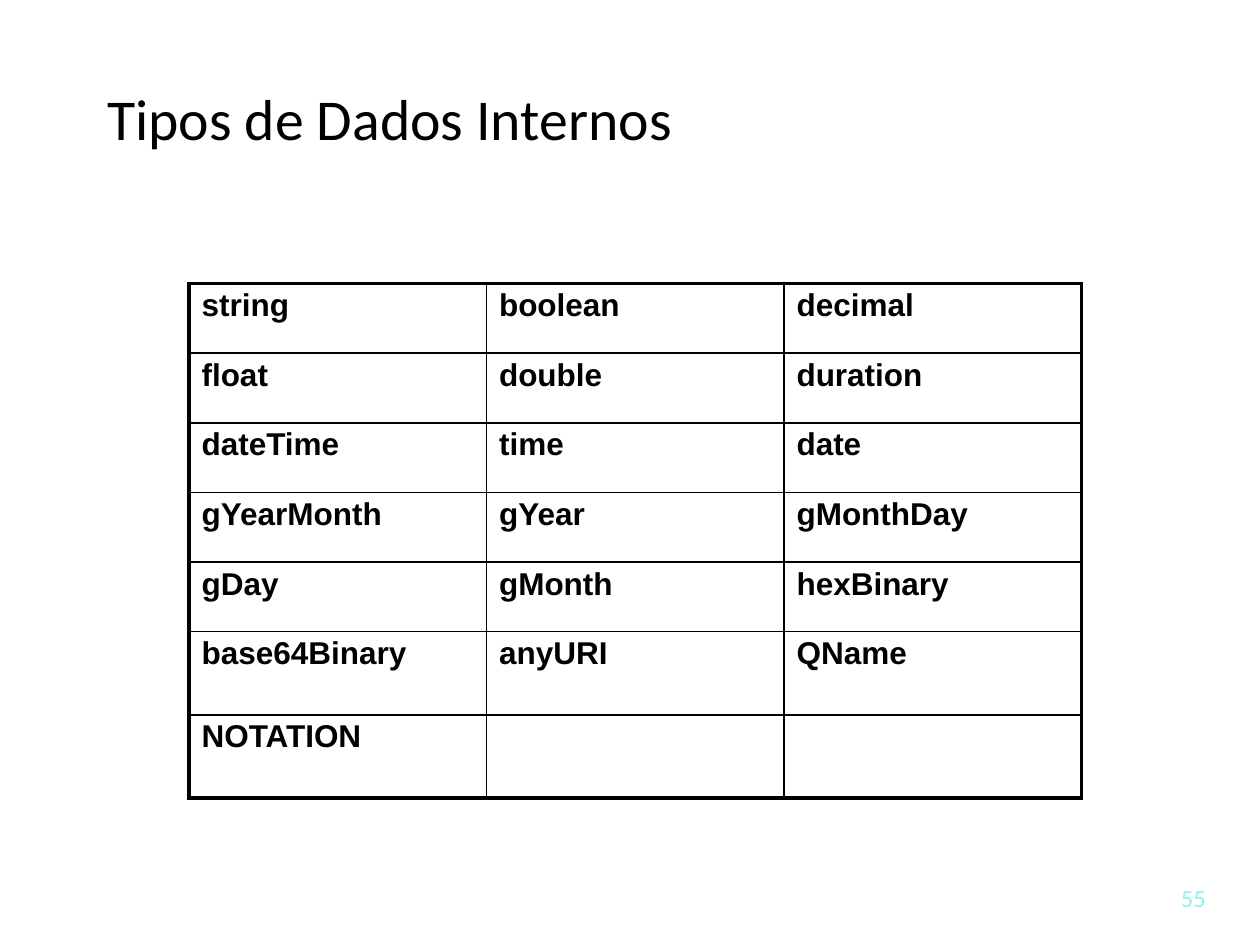
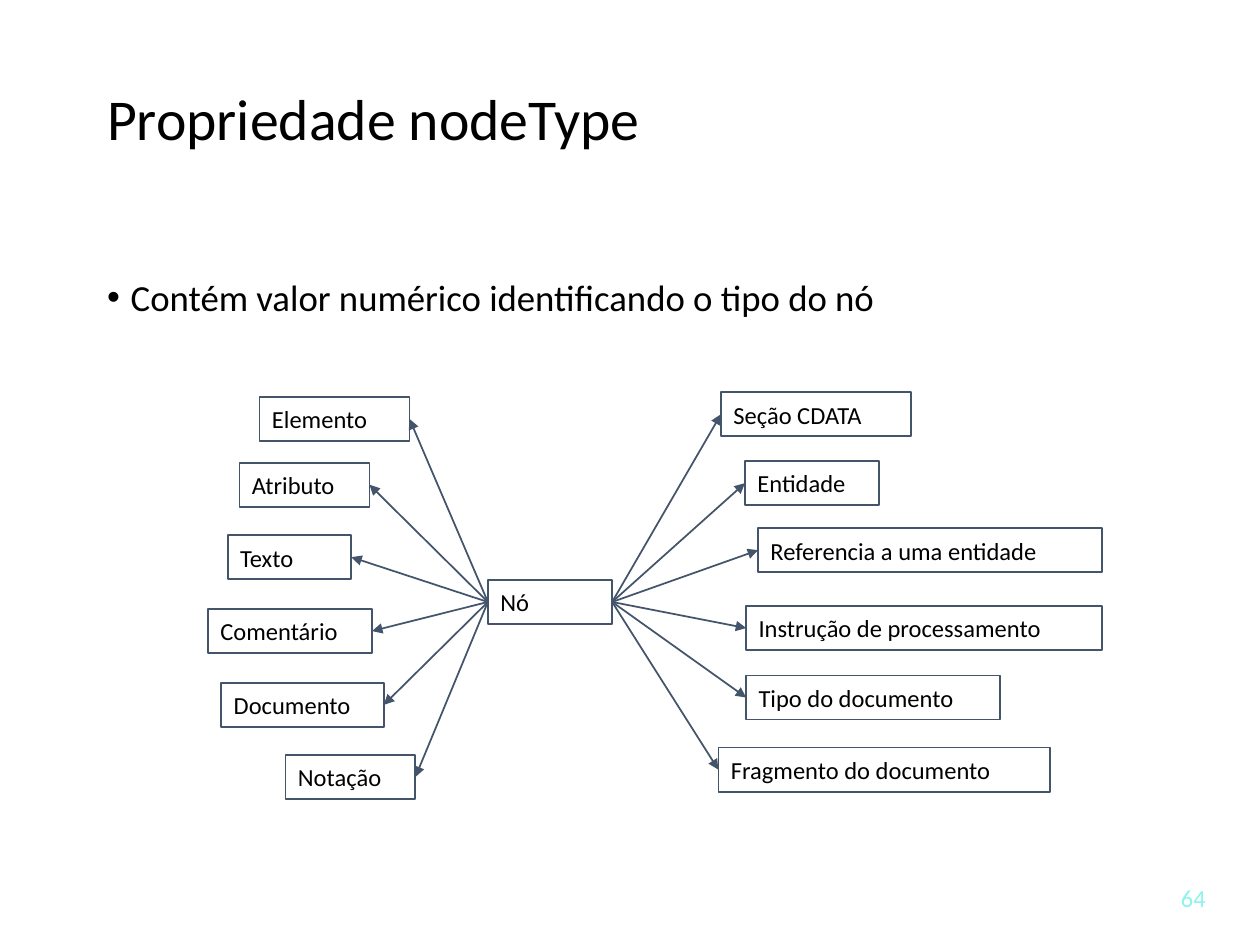
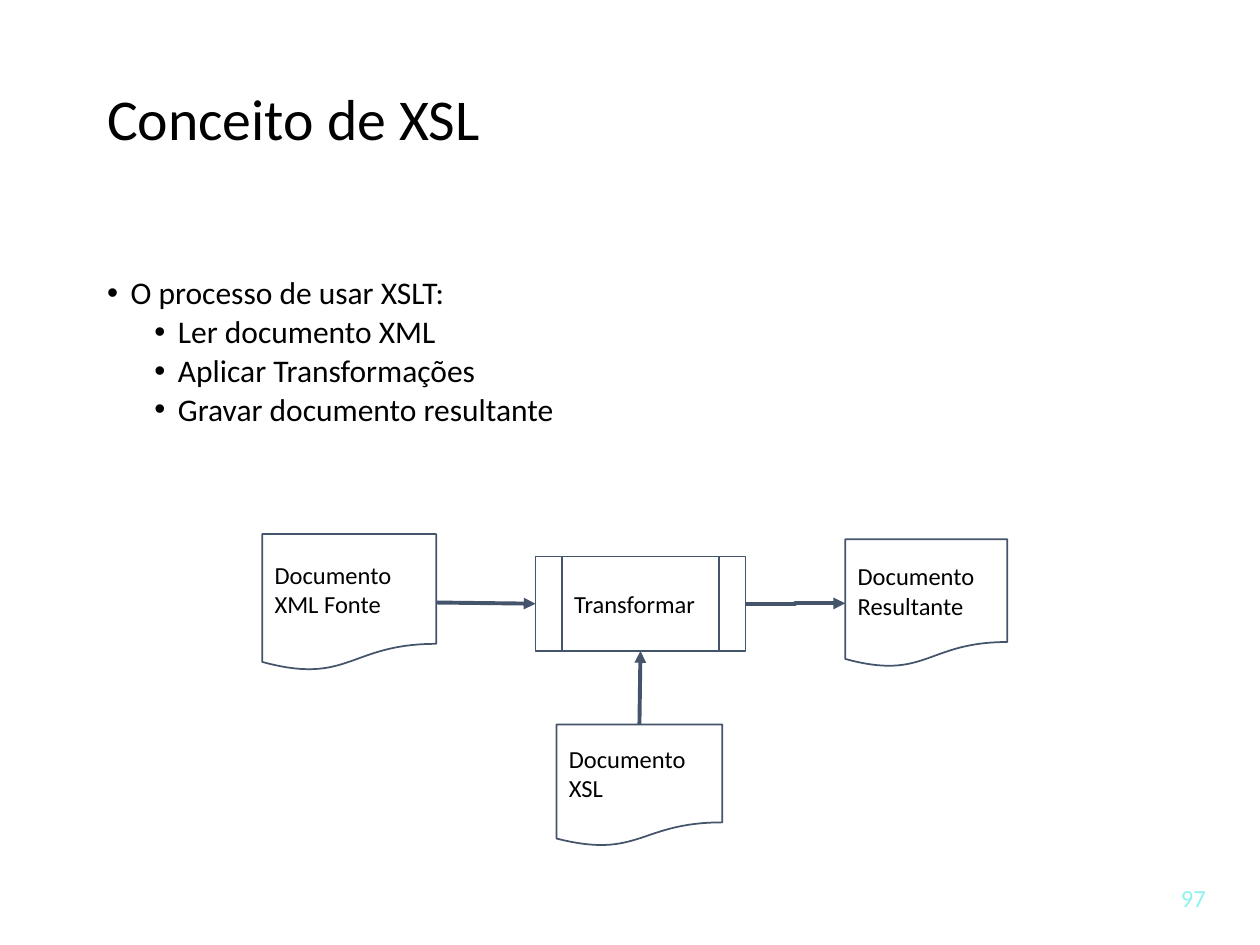
import pptx
import pptx.util
import pptx.dml.color
import pptx.enum.shapes
import pptx.enum.text
import pptx.oxml.ns
import lxml.etree

Pt = pptx.util.Pt
RGB = pptx.dml.color.RGBColor
Shape = pptx.enum.shapes.MSO_SHAPE
Link = pptx.enum.shapes.MSO_CONNECTOR
Align = pptx.enum.text.PP_ALIGN
Anchor = pptx.enum.text.MSO_ANCHOR
Fit = pptx.enum.text.MSO_AUTO_SIZE
qn = pptx.oxml.ns.qn

BLACK = RGB(0x00, 0x00, 0x00)
SLATE = RGB(0x44, 0x54, 0x6A)
AQUA = RGB(0x8C, 0xF4, 0xEA)
FONT = "Calibri"
TOP, LEFT, BOTTOM, RIGHT = range(4)

TYPES = [
    ("string", "boolean", "decimal"),
    ("float", "double", "duration"),
    ("dateTime", "time", "date"),
    ("gYearMonth", "gYear", "gMonthDay"),
    ("gDay", "gMonth", "hexBinary"),
    ("base64Binary", "anyURI", "QName"),
    ("NOTATION", "", ""),
]
ROWS = [39.8] * 5 + [47.5] * 2
COL = 170

NODE = ("Nó", 278.8, 331.4, 71)
LEAVES = {
    LEFT: [
        ("Elemento", 148.3, 226.8, 85.7),
        ("Atributo", 136.8, 264.4, 74.3),
        ("Texto", 130.1, 305.8, 70.7),
        ("Comentário", 118.8, 348, 93.8),
        ("Documento", 126.5, 390.2, 92.8),
        ("Notação", 163.2, 431.4, 74.2),
    ],
    RIGHT: [
        ("Seção CDATA", 412, 224.1, 108.7),
        ("Entidade", 425.7, 263.5, 76.5),
        ("Referencia a uma entidade", 433.2, 301.8, 196.6),
        ("Instrução de processamento", 426.4, 346.3, 203.4),
        ("Tipo do documento", 426.4, 386, 145.2),
        ("Fragmento do documento", 410.5, 427.2, 189.5),
    ],
}
HIGH = 25.2

STEPS = {
    "run": ("Transformar", Shape.FLOWCHART_PREDEFINED_PROCESS, 306, 318, 120, 54),
    "xml": ("Documento XML Fonte", Shape.FLOWCHART_DOCUMENT, 149.8, 305.2, 99.4, 78.2),
    "out": ("Documento Resultante", Shape.FLOWCHART_DOCUMENT, 483, 308.2, 92.6, 73.2),
    "xsl": ("Documento XSL", Shape.FLOWCHART_DOCUMENT, 318, 414, 94.8, 69.8),
}
FLOWS = [
    ("xml", RIGHT, "run", LEFT, Link.STRAIGHT),
    ("run", RIGHT, "out", LEFT, Link.ELBOW),
    ("xsl", TOP, "run", BOTTOM, Link.STRAIGHT),
]


def style(para, size, color=BLACK, font=FONT, bold=False):
    for run in para.runs:
        run.font.name = font
        run.font.size = Pt(size)
        run.font.color.rgb = color
        run.font.bold = bold


def place(shape, left, top, width, height):
    shape.left, shape.top = Pt(left), Pt(top)
    shape.width, shape.height = Pt(width), Pt(height)
    shape.text_frame.auto_size = Fit.NONE
    shape.text_frame.vertical_anchor = Anchor.TOP


def start(deck, layout, title, number):
    slide = deck.slides.add_slide(deck.slide_layouts[layout])
    head = slide.shapes.title
    place(head, 54, 48, 612, 90)
    head.text_frame.text = title
    para = head.text_frame.paragraphs[0]
    para.alignment, para.line_spacing = Align.LEFT, 0.9
    style(para, 33)
    foot = slide.shapes.add_textbox(Pt(664.6), Pt(501), Pt(40.3), Pt(24))
    foot.text_frame.word_wrap = True
    foot.text_frame.text = f" {number}"
    style(foot.text_frame.paragraphs[0], 14, AQUA)
    return slide


def fill_list(slide, items, height, size, spacing):
    body = slide.placeholders[1]
    place(body, 54, 156, 612, height)
    frame = body.text_frame
    frame.text = "\n".join(text for text, level in items)
    for para, (text, level) in zip(frame.paragraphs, items):
        para.level = level
        para.line_spacing = spacing
        para.space_before = Pt(3.8 if level else 7.5)
        style(para, size)
        props = para._p.get_or_add_pPr()
        props.set("marL", str(Pt(13.5 + 27 * level)))
        props.set("indent", str(-Pt(13.5)))
        lxml.etree.SubElement(props, qn("a:buFont"), typeface="Arial")
        lxml.etree.SubElement(props, qn("a:buChar"), char="•")


def add_box(shapes, text, kind, left, top, width, height):
    box = shapes.add_shape(kind, Pt(left), Pt(top), Pt(width), Pt(height))
    box.shadow.inherit = False
    box.fill.background()
    box.line.color.rgb = SLATE
    box.line.width = Pt(1)
    frame = box.text_frame
    frame.word_wrap = True
    frame.vertical_anchor = Anchor.MIDDLE
    frame.text = text
    frame.paragraphs[0].alignment = Align.LEFT
    style(frame.paragraphs[0], 14)
    return box


def add_arrow(shapes, source, exit, target, entry, width, kind=Link.STRAIGHT):
    arrow = shapes.add_connector(kind, 0, 0, 0, 0)
    arrow.begin_connect(source, exit)
    arrow.end_connect(target, entry)
    arrow.line.color.rgb = SLATE
    arrow.line.width = Pt(width)
    props = arrow._element.spPr
    lxml.etree.SubElement(props.find(qn("a:ln")), qn("a:tailEnd"), type="triangle")
    lxml.etree.SubElement(props, qn("a:effectLst"))


def add_border(cell, edges):
    props = cell._tc.get_or_add_tcPr()
    for spot, (side, width) in enumerate(edges.items()):
        line = lxml.etree.Element(qn(f"a:ln{side}"), w=str(Pt(width)))
        fill = lxml.etree.SubElement(line, qn("a:solidFill"))
        lxml.etree.SubElement(fill, qn("a:srgbClr"), val=str(BLACK))
        props.insert(spot, line)


def add_types(slide):
    count, wide = len(TYPES), len(TYPES[0])
    table = slide.shapes.add_table(
        count, wide, Pt(108), Pt(162), Pt(COL * wide), Pt(sum(ROWS))
    ).table
    table.first_row = table.horz_banding = False
    for col in table.columns:
        col.width = Pt(COL)
    for r, names in enumerate(TYPES):
        table.rows[r].height = Pt(ROWS[r])
        for c, name in enumerate(names):
            cell = table.cell(r, c)
            cell.fill.background()
            cell.text_frame.text = name
            para = cell.text_frame.paragraphs[0]
            para.line_spacing = 0.95
            style(para, 18, font="Arial", bold=True)
            outer = {"L": c == 0, "R": c == wide - 1, "T": r == 0, "B": r == count - 1}
            add_border(cell, {side: 2.25 if edge else 1 for side, edge in outer.items()})


def add_tree(slide):
    shapes = slide.shapes.add_group_shape().shapes

    def add_node(text, left, top, width):
        return add_box(shapes, text, Shape.RECTANGLE, left, top, width, HIGH)

    root = add_node(*NODE)
    for side, leaves in LEAVES.items():
        facing = RIGHT if side == LEFT else LEFT
        for leaf in leaves:
            add_arrow(shapes, root, side, add_node(*leaf), facing, 1)


def add_flow(slide):
    boxes = {key: add_box(slide.shapes, *step) for key, step in STEPS.items()}
    for source, exit, target, entry, kind in FLOWS:
        add_arrow(slide.shapes, boxes[source], exit, boxes[target], entry, 2.25, kind)


def main():
    deck = pptx.Presentation()
    deck.slide_width, deck.slide_height = Pt(720), Pt(540)

    add_types(start(deck, 5, "Tipos de Dados Internos", 55))

    slide = start(deck, 1, "Propriedade nodeType", 64)
    fill_list(slide, [("Contém valor numérico identificando o tipo do nó", 0)], 34, 21, 0.9)
    add_tree(slide)

    slide = start(deck, 1, "Conceito de XSL", 97)
    items = [
        ("O processo de usar XSLT:", 0),
        ("Ler documento XML", 1),
        ("Aplicar Transformações", 1),
        ("Gravar documento resultante", 1),
    ]
    fill_list(slide, items, 96.5, 18, 0.85)
    add_flow(slide)

    deck.save("out.pptx")


if __name__ == "__main__":
    main()
